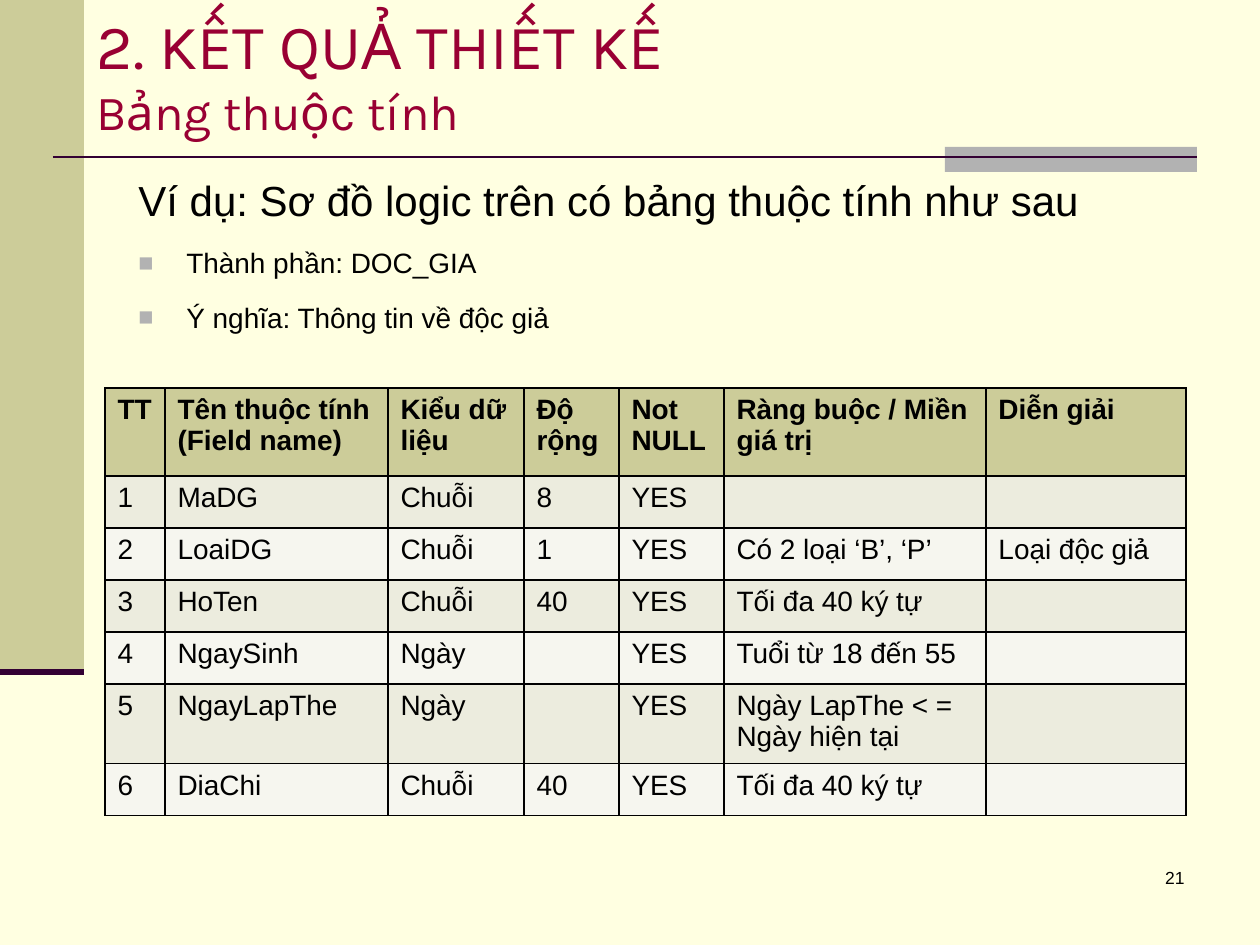
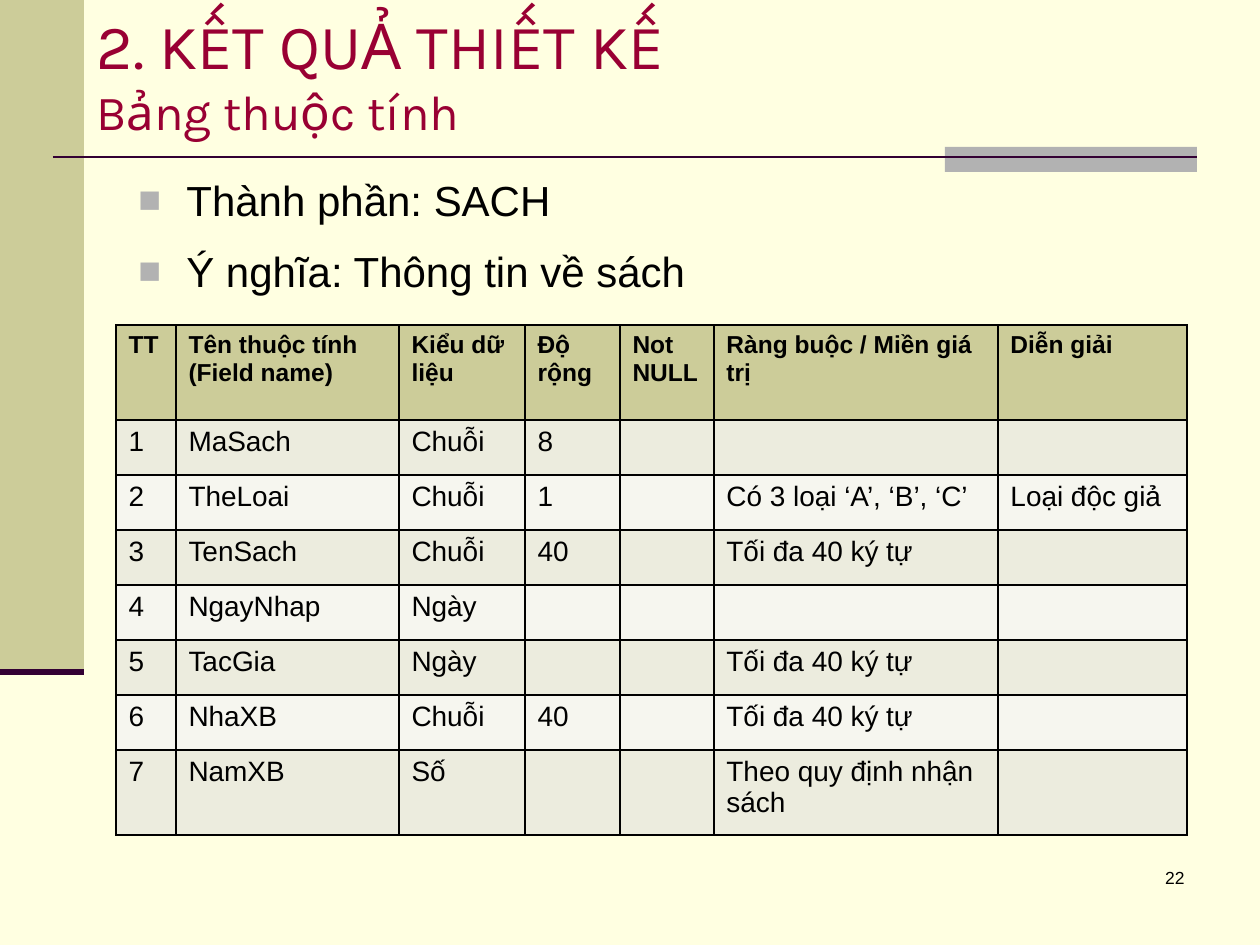
"""Build two slides that list the attributes of library tables."""
from typing import NamedTuple

from lxml.etree import SubElement as Sub
from pptx import Presentation
from pptx.dml.color import RGBColor
from pptx.enum.shapes import MSO_CONNECTOR as Link, MSO_SHAPE as Form
from pptx.enum.text import MSO_ANCHOR as Anchor, MSO_AUTO_SIZE as Fit, PP_ALIGN as Align
from pptx.oxml.ns import qn
from pptx.util import Emu, Pt

SCALE = 914400 / 126
PAPER, OLIVE, GREY, PLUM, WINE, INK = "FFFFE1", "CCCC99", "B2B2B2", "330033", "990033", "000000"
BANDS = ("F6F6EF", "ECECDE")
HEAD = ("TT", "Tên thuộc tính (Field name)", "Kiểu dữ liệu", "Độ rộng", "Not NULL",
        "Ràng buộc / Miền giá trị", "Diễn giải")
TITLE = (("2. KẾT QUẢ THIẾT KẾ", 36), ("Bảng thuộc tính", 28))


class Box(NamedTuple):
    """A rectangle in px."""
    left: int
    top: int
    width: int
    height: int


class Block(NamedTuple):
    """A filled rectangle."""
    box: Box
    fill: str


class Rule(NamedTuple):
    """A level line."""
    start: int
    end: int
    top: int
    weight: float


class Line(NamedTuple):
    """A paragraph of the body."""
    text: str
    size: int
    mark: bool = True


class Grid(NamedTuple):
    """A table of attributes."""
    left: int
    top: int
    cols: tuple[int, ...]
    tall: tuple[int, ...]
    size: int
    rows: tuple[tuple[str, ...], ...]


class Page(NamedTuple):
    """The content of one slide."""
    number: int
    lines: tuple[Line, ...]
    grid: Grid


BLOCKS = (Block(Box(0, 0, 84, 672), OLIVE), Block(Box(945, 147, 252, 25), GREY))
RULES = (Rule(53, 1197, 157, 1.5), Rule(0, 84, 672, 3.5))
PAGES = (
    Page(21,
         (Line("Ví dụ: Sơ đồ logic trên có bảng thuộc tính như sau", 24, False),
          Line("Thành phần: DOC_GIA", 16),
          Line("Ý nghĩa: Thông tin về độc giả", 16)),
         Grid(105, 388, (60, 223, 136, 95, 105, 262, 200), (88,) + (52,) * 6, 16, (
             ("MaDG", "Chuỗi", "8", "YES", "", ""),
             ("LoaiDG", "Chuỗi", "1", "YES", "Có 2 loại ‘B’, ‘P’", "Loại độc giả"),
             ("HoTen", "Chuỗi", "40", "YES", "Tối đa 40 ký tự", ""),
             ("NgaySinh", "Ngày", "", "YES", "Tuổi từ 18 đến 55", ""),
             ("NgayLapThe", "Ngày", "", "YES", "Ngày LapThe < = Ngày hiện tại", ""),
             ("DiaChi", "Chuỗi", "40", "YES", "Tối đa 40 ký tự", "")))),
    Page(22,
         (Line("Thành phần: SACH", 24), Line("Ý nghĩa: Thông tin về sách", 24)),
         Grid(116, 325, (60, 223, 126, 95, 94, 284, 189), (95,) + (55,) * 6 + (85,), 14, (
             ("MaSach", "Chuỗi", "8", "", "", ""),
             ("TheLoai", "Chuỗi", "1", "", "Có 3 loại ‘A’, ‘B’, ‘C’", "Loại độc giả"),
             ("TenSach", "Chuỗi", "40", "", "Tối đa 40 ký tự", ""),
             ("NgayNhap", "Ngày", "", "", "", ""),
             ("TacGia", "Ngày", "", "", "Tối đa 40 ký tự", ""),
             ("NhaXB", "Chuỗi", "40", "", "Tối đa 40 ký tự", ""),
             ("NamXB", "Số", "", "", "Theo quy định nhận sách", "")))),
)


def px(size: int) -> Emu:
    """Turn px into EMU."""
    return Emu(round(size * SCALE))


def place(box: Box) -> tuple[Emu, ...]:
    """Turn a box into EMU lengths."""
    return tuple(px(side) for side in box)


def tint(part, code: str) -> None:
    """Give a fill one solid colour."""
    part.solid()
    part.fore_color.rgb = RGBColor.from_string(code)


def style(run, size: int, face: str = "Arial", code: str = INK, bold: bool = False) -> None:
    """Format one run."""
    font = run.font
    font.size, font.name, font.bold = Pt(size), face, bold
    tint(font.fill, code)


def bullet(para) -> None:
    """Hang a grey square before a paragraph."""
    props = para._p.get_or_add_pPr()
    props.set("marL", str(px(48)))
    props.set("indent", str(-px(48)))
    Sub(Sub(props, qn("a:buClr")), qn("a:srgbClr"), val=GREY)
    Sub(props, qn("a:buSzPct"), val="90000")
    Sub(props, qn("a:buFont"), typeface="Arial")
    Sub(props, qn("a:buChar"), char="■")


def frame(cell) -> None:
    """Draw thin borders round a cell."""
    props = cell._tc.get_or_add_tcPr()
    for spot, side in enumerate("LRTB"):
        edge = Sub(props, qn(f"a:ln{side}"), w=str(Pt(1)))
        Sub(Sub(edge, qn("a:solidFill")), qn("a:srgbClr"), val=INK)
        props.insert(spot, edge)


def add_frame(slide) -> None:
    """Draw the bands, rules and title that all slides share."""
    tint(slide.background.fill, PAPER)
    for block in BLOCKS:
        shape = slide.shapes.add_shape(Form.RECTANGLE, *place(block.box))
        shape.shadow.inherit = False
        shape.line.fill.background()
        tint(shape.fill, block.fill)
    for rule in RULES:
        top = px(rule.top)
        line = slide.shapes.add_connector(Link.STRAIGHT, px(rule.start), top, px(rule.end), top)
        line.line.width = Pt(rule.weight)
        tint(line.line.fill, PLUM)
        Sub(line._element.spPr, qn("a:effectLst"))
    title = slide.shapes.title
    title.left, title.top, title.width, title.height = place(Box(84, 0, 1176, 147))
    text = title.text_frame
    text.auto_size, text.vertical_anchor, text.word_wrap = Fit.NONE, Anchor.MIDDLE, True
    para = text.paragraphs[0]
    para.text = "\n".join(words for words, _ in TITLE)
    para.alignment = Align.LEFT
    for run, (_, size) in zip(para.runs, TITLE):
        style(run, size, "Karla", WINE)
    Sub(para._p.find(qn("a:br")), qn("a:rPr"), sz=str(TITLE[0][1] * 100))


def add_text(slide, box: Box, lines: tuple[Line, ...]):
    """Add a text box and return its paragraphs."""
    text = slide.shapes.add_textbox(*place(box)).text_frame
    text.word_wrap = True
    text.text = "\n".join(line.text for line in lines)
    for para, line in zip(text.paragraphs, lines):
        style(para.runs[0], line.size)
    return text.paragraphs


def add_body(slide, lines: tuple[Line, ...]) -> None:
    """Add the text above the table."""
    for para, line in zip(add_text(slide, Box(126, 168, 1071, 655), lines), lines):
        para.space_before = para.space_after = Pt(6)
        if line.mark:
            bullet(para)


def add_grid(slide, grid: Grid) -> None:
    """Add the table of attributes."""
    rows = (HEAD, *((str(num), *row) for num, row in enumerate(grid.rows, 1)))
    box = Box(grid.left, grid.top, sum(grid.cols), sum(grid.tall))
    table = slide.shapes.add_table(len(rows), len(HEAD), *place(box)).table
    for col, width in zip(table.columns, grid.cols):
        col.width = px(width)
    for row, tall in zip(table.rows, grid.tall):
        row.height = px(tall)
    for r, row in enumerate(rows):
        for c, words in enumerate(row):
            cell = table.cell(r, c)
            tint(cell.fill, BANDS[r % 2] if r else OLIVE)
            frame(cell)
            if words:
                cell.text_frame.text = words
                run = cell.text_frame.paragraphs[0].runs[0]
                style(run, 16 if r else grid.size, bold=r == 0)


def main() -> None:
    """Build and save the slides."""
    deck = Presentation()
    deck.slide_width, deck.slide_height = px(1260), px(945)
    for page in PAGES:
        slide = deck.slides.add_slide(deck.slide_layouts[5])
        add_frame(slide)
        add_body(slide, page.lines)
        number = add_text(slide, Box(935, 861, 262, 63), (Line(str(page.number), 10),))
        number[0].alignment = Align.RIGHT
        add_grid(slide, page.grid)
    deck.save("out.pptx")


if __name__ == "__main__":
    main()
